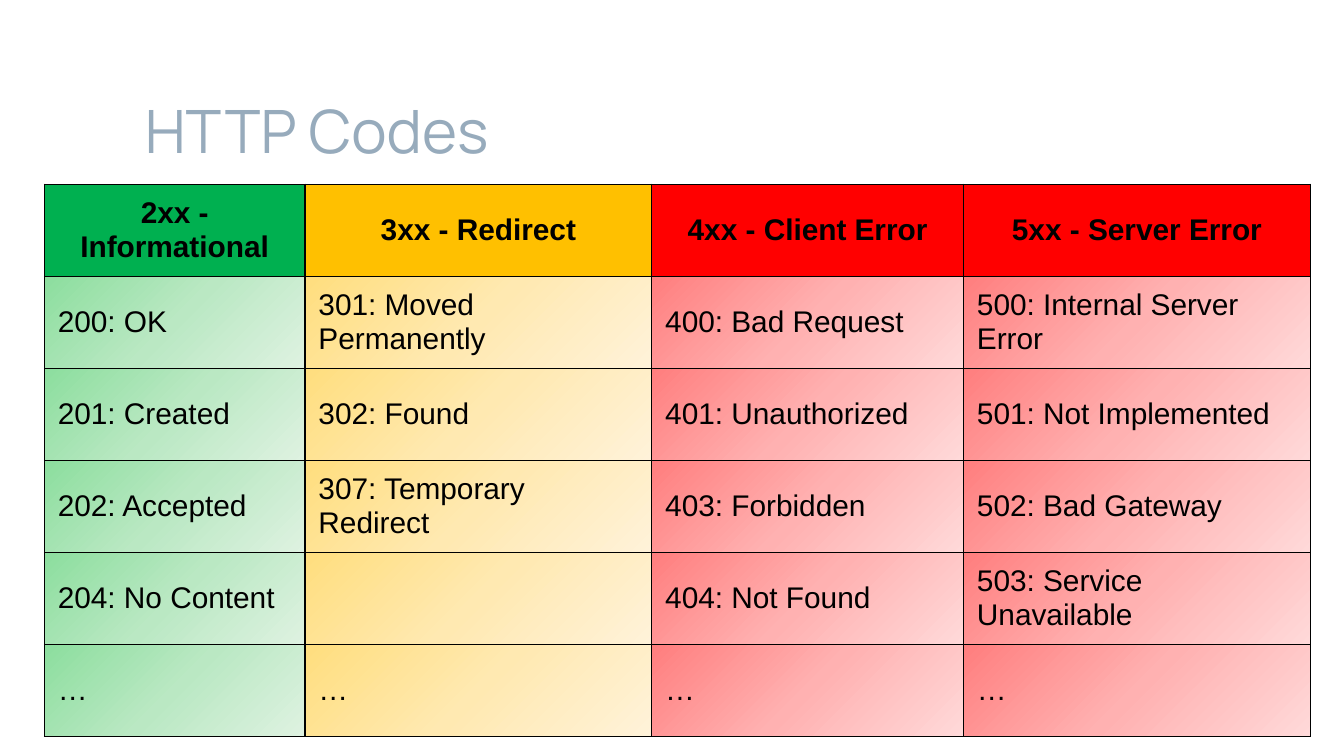
"""Build a slide that tabulates HTTP status codes by class."""
from dataclasses import dataclass

from lxml import etree
from pptx import Presentation, util as u
from pptx.dml.color import RGBColor
from pptx.enum import text
from pptx.oxml.ns import qn

WIDTH = 10
HEIGHT = WIDTH * 9 / 16
ROWS = 6
TABLE_TOP, TABLE_HEIGHT = 1.37 / HEIGHT, 4.11 / HEIGHT
TABLE_LEFT = 0.33 / WIDTH
COLORS = {
    "title": "97ABBC",
    "ink": "000000",
    "success": "00B050",
    "redirect": "FFC000",
    "error": "FF0000",
}
TINTS = {
    "success": ("8CDE9E", "BAE8C3", "DEF2E1"),
    "redirect": ("FFDE7E", "FFE9B1", "FFF2D9"),
    "error": ("FF7E7E", "FFB1B1", "FFD9D9"),
}
TITLE_FONT = {"name": "Manrope", "size": u.Pt(32), "bold": False}
CODE_FONT = {"name": "Arial", "size": u.Pt(16), "bold": False}
HEADER_FONT = {**CODE_FONT, "bold": True}
TITLE_FRAME = {
    "word_wrap": True,
    "vertical_anchor": text.MSO_ANCHOR.BOTTOM,
    **{f"margin_{side}": u.Inches(0.1) for side in ("left", "top", "right", "bottom")},
}
CELL_FORMAT = {
    "vertical_anchor": text.MSO_ANCHOR.MIDDLE,
    "margin_left": u.Inches(0.1),
    "margin_right": u.Inches(0.1),
    "margin_top": u.Inches(0.05),
    "margin_bottom": u.Inches(0.05),
}


@dataclass(frozen=True)
class CodeClass:
    """One column of status codes, its width a share of the slide."""

    heading: str
    tone: str
    share: float
    codes: tuple[str, ...]


CLASSES = (
    CodeClass("2xx - Informational", "success", 1.94 / WIDTH,
              ("200: OK", "201: Created", "202: Accepted", "204: No Content", "…")),
    CodeClass("3xx - Redirect", "redirect", 2.58 / WIDTH,
              ("301: Moved Permanently", "302: Found", "307: Temporary Redirect", "", "…")),
    CodeClass("4xx - Client Error", "error", 2.32 / WIDTH,
              ("400: Bad Request", "401: Unauthorized", "403: Forbidden", "404: Not Found", "…")),
    CodeClass("5xx - Server Error", "error", 2.58 / WIDTH,
              ("500: Internal Server Error", "501: Not Implemented", "502: Bad Gateway",
               "503: Service Unavailable", "…")),
)


def across(share: float) -> int:
    """Turn a share of the slide width into a length."""
    return u.Inches(share * WIDTH)


def down(share: float) -> int:
    """Turn a share of the slide height into a length."""
    return u.Inches(share * HEIGHT)


def apply(target: object, values: dict) -> None:
    """Set each named attribute on the target."""
    for name, value in values.items():
        setattr(target, name, value)


def write(para, words: str, font: dict, color: str, align=text.PP_ALIGN.LEFT) -> None:
    """Write one formatted span into a paragraph."""
    para.alignment = align
    if words:
        span = para.add_run()
        span.text = words
        apply(span.font, font)
        span.font.color.rgb = RGBColor.from_string(COLORS[color])


def add_color(parent, color: str) -> None:
    """Append a plain colour to an XML element."""
    etree.SubElement(parent, qn("a:srgbClr"), val=color)


def add_borders(cell) -> None:
    """Draw thin lines on all four sides of a cell."""
    props = cell._tc.get_or_add_tcPr()
    for side in "LRTB":
        line = etree.SubElement(props, qn(f"a:ln{side}"), w=str(u.Pt(0.75)))
        add_color(etree.SubElement(line, qn("a:solidFill")), COLORS["ink"])


def add_gradient(cell, tints: tuple[str, ...]) -> None:
    """Fill a cell with evenly spaced tints along its diagonal."""
    props = cell._tc.get_or_add_tcPr()
    gradient = etree.SubElement(props, qn("a:gradFill"), rotWithShape="1")
    stops = etree.SubElement(gradient, qn("a:gsLst"))
    for index, tint in enumerate(tints):
        place = 100000 * index // (len(tints) - 1)
        add_color(etree.SubElement(stops, qn("a:gs"), pos=str(place)), tint)
    etree.SubElement(gradient, qn("a:lin"), ang=str(45 * 60000), scaled="0")


def draw_title(page, words: str) -> None:
    """Draw the slide title."""
    box = page.shapes.add_textbox(across(0.98 / WIDTH), down(0.39 / HEIGHT),
                                  across(7.07 / WIDTH), down(0.94 / HEIGHT))
    apply(box.text_frame, TITLE_FRAME)
    write(box.text_frame.paragraphs[0], words, TITLE_FONT, "title")


def draw_column(table, index: int, group: CodeClass) -> None:
    """Draw the heading and codes of one class."""
    table.columns[index].width = across(group.share)
    for row, words in enumerate((group.heading, *group.codes)):
        cell = table.cell(row, index)
        apply(cell, CELL_FORMAT)
        add_borders(cell)
        para = cell.text_frame.paragraphs[0]
        if row == 0:
            cell.fill.solid()
            cell.fill.fore_color.rgb = RGBColor.from_string(COLORS[group.tone])
            write(para, words, HEADER_FONT, "ink", text.PP_ALIGN.CENTER)
        else:
            add_gradient(cell, TINTS[group.tone])
            write(para, words, CODE_FONT, "ink")


def draw_table(page, groups: tuple[CodeClass, ...]) -> None:
    """Draw the table of status codes, one column for each class."""
    width = across(sum(group.share for group in groups))
    frame = page.shapes.add_table(ROWS, len(groups), across(TABLE_LEFT), down(TABLE_TOP),
                                  width, down(TABLE_HEIGHT))
    apply(frame.table, {"first_row": False, "horz_banding": False})
    for row in frame.table.rows:
        row.height = down(TABLE_HEIGHT / ROWS)
    for index, group in enumerate(groups):
        draw_column(frame.table, index, group)


def main() -> None:
    """Build and save the deck."""
    deck = Presentation()
    apply(deck, {"slide_width": across(1), "slide_height": down(1)})
    page = deck.slides.add_slide(deck.slide_layouts[6])
    draw_title(page, "HTTP Codes")
    draw_table(page, CLASSES)
    deck.save("out.pptx")


if __name__ == "__main__":
    main()
